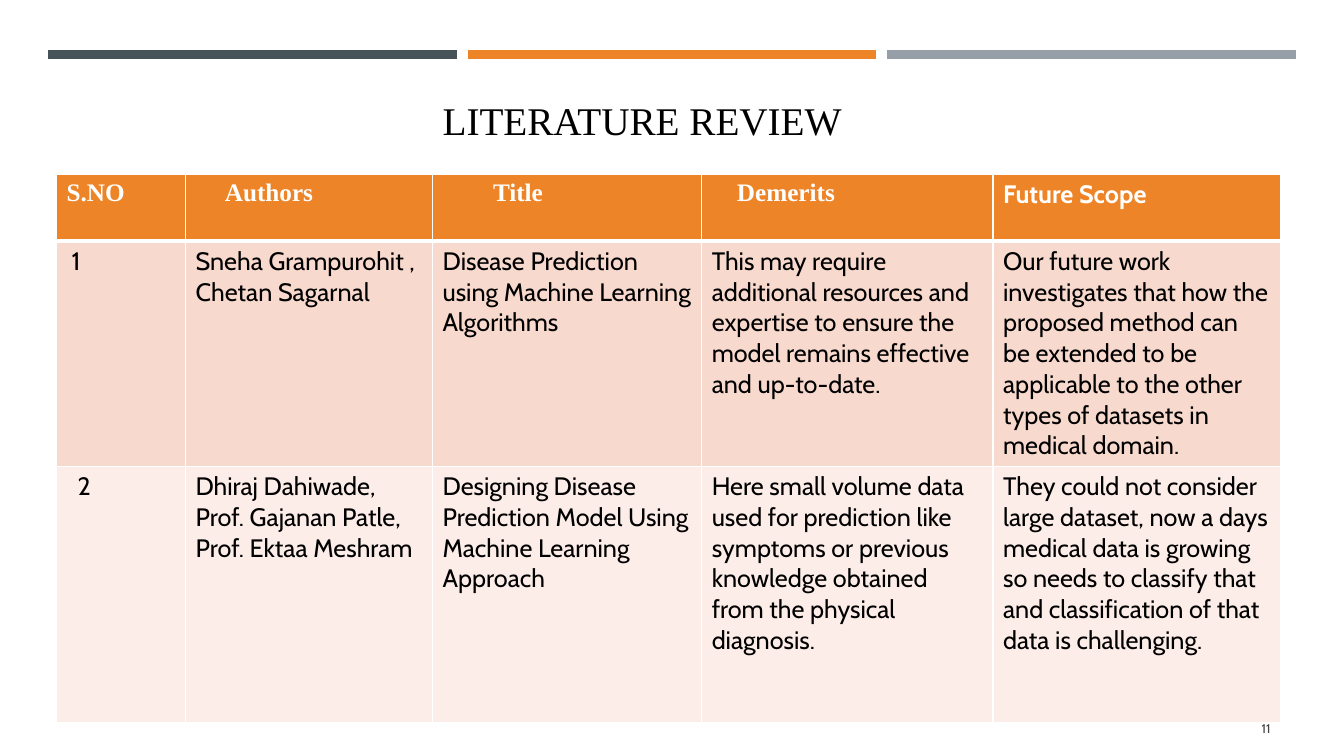
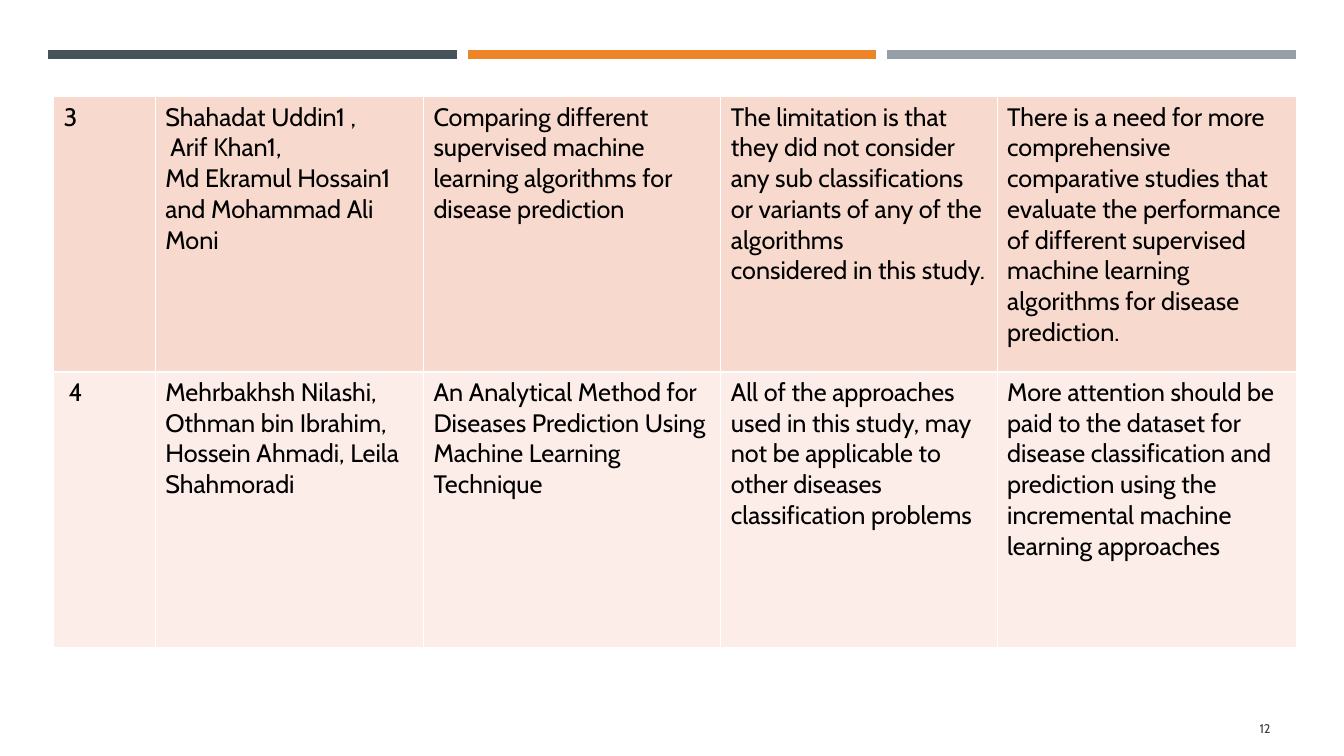
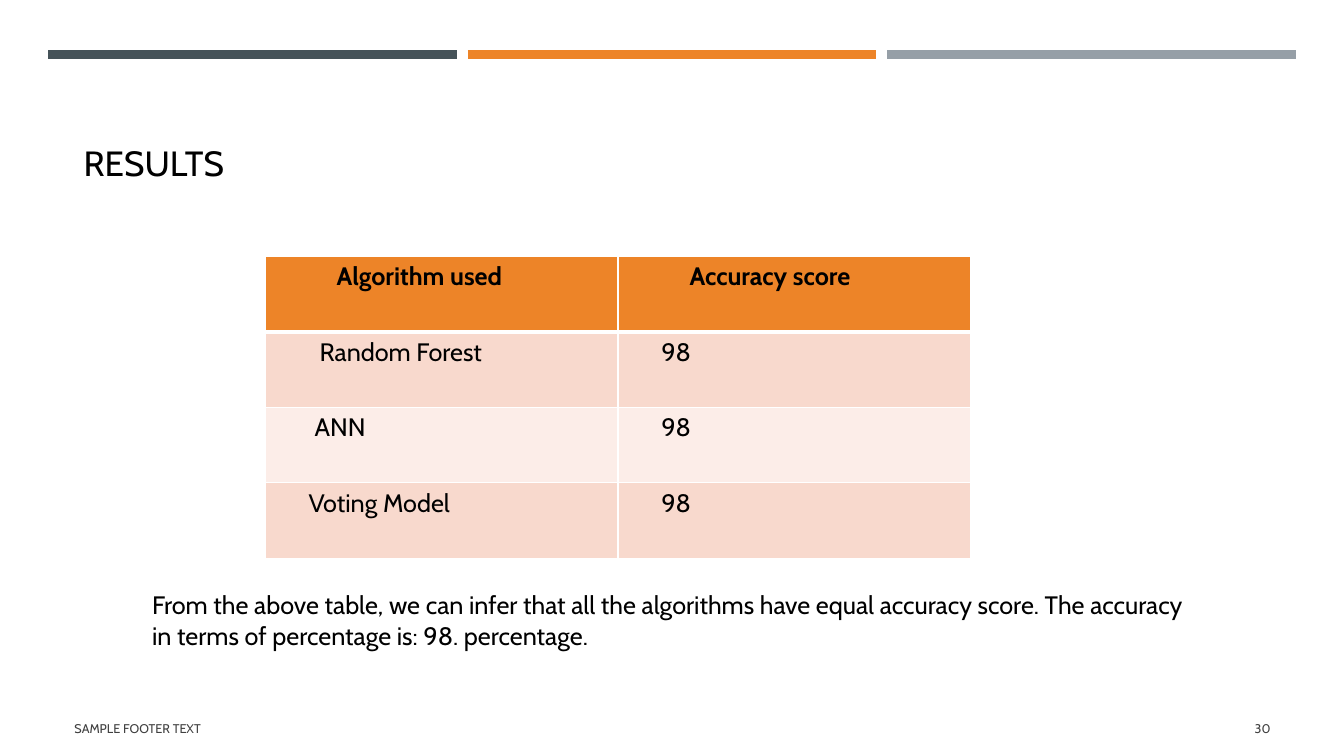
from dataclasses import dataclass

from lxml.etree import SubElement
from pptx import Presentation
from pptx.dml.color import RGBColor
from pptx.enum.shapes import MSO_CONNECTOR
from pptx.enum.text import MSO_ANCHOR, MSO_AUTO_SIZE, PP_ALIGN
from pptx.oxml.ns import qn
from pptx.util import Inches, Pt


@dataclass(frozen=True)
class Theme:
    sans: str = "Cabin"
    serif: str = "Times New Roman"
    black: str = "000000"
    white: str = "FFFFFF"
    grey: str = "404040"
    head: str = "ED8428"
    rows: tuple = ("F8D9CD", "FCEDE8")
    bands: tuple = ("465359", "ED8428", "969FA7")
    body: int = 18
    small: int = 9


THEME = Theme()


# Text
def style(para, size, face=THEME.sans, color=THEME.black, bold=False):
    font = para.font
    font.size, font.name, font.bold = Pt(size), face, bold
    font.color.rgb = RGBColor.from_string(color)


def place(shape, left, top, width, height):
    shape.left, shape.top = Inches(left), Inches(top)
    shape.width, shape.height = Inches(width), Inches(height)


def label(slide, text, box, size=THEME.body, color=THEME.black,
          align=PP_ALIGN.LEFT, anchor=MSO_ANCHOR.TOP):
    frame = slide.shapes.add_textbox(*map(Inches, box)).text_frame
    frame.word_wrap, frame.vertical_anchor = True, anchor
    frame.text = text
    para = frame.paragraphs[0]
    para.alignment = align
    style(para, size, color=color)


def title(slide, text, box, size, face):
    shape = slide.shapes.title
    place(shape, *box)
    frame = shape.text_frame
    frame.text = text
    frame.auto_size = MSO_AUTO_SIZE.NONE
    frame.vertical_anchor = MSO_ANCHOR.TOP
    para = frame.paragraphs[0]
    para.alignment = PP_ALIGN.LEFT
    style(para, size, face)


# Shared parts
def bands(deck, slide):
    """Draw the three top bands and move them to the slide master."""
    width, gap, left, top = 4.05, 0.11, 0.48, 0.54
    for i, color in enumerate(THEME.bands):
        start = left + i * (width + gap)
        line = slide.shapes.add_connector(
            MSO_CONNECTOR.STRAIGHT, Inches(start), Inches(top),
            Inches(start + width), Inches(top))
        line.line.color.rgb = RGBColor.from_string(color)
        line.line.width = Pt(6.5)
        SubElement(line.element.spPr, qn("a:effectLst"))
        deck.slide_master.shapes.element.append(line.element)


def footer(slide, number, text=None):
    if text:
        label(slide, text, (0.64, 7.03, 7.56, 0.4), THEME.small, THEME.grey,
              anchor=MSO_ANCHOR.MIDDLE)
    label(slide, number, (11.55, 7.03, 1.15, 0.4), THEME.small, THEME.grey,
          PP_ALIGN.RIGHT, MSO_ANCHOR.MIDDLE)


# Tables
def edges(cell, top=1, bottom=1):
    props = cell._tc.get_or_add_tcPr()
    for side, width in (("L", 1), ("R", 1), ("T", top), ("B", bottom)):
        line = SubElement(props, qn(f"a:ln{side}"), w=str(Pt(width)))
        fill = SubElement(line, qn("a:solidFill"))
        SubElement(fill, qn("a:srgbClr"), val=THEME.white)


def write(cell, content, face, color, bold):
    """Fill a cell: content is one line or a list; a pair adds an indent."""
    lines = content if isinstance(content, list) else [content]
    frame = cell.text_frame
    for i, line in enumerate(lines):
        text, indent = line if isinstance(line, tuple) else (line, 0)
        para = frame.add_paragraph() if i else frame.paragraphs[0]
        para.text = text
        if indent:
            para._p.get_or_add_pPr().set("marL", str(Inches(indent)))
        style(para, THEME.body, face, color, bold)


def grid(slide, left, top, cols, heights, cells, faces=None,
         ink=THEME.black):
    """Add a table; faces names the fonts of a header row, if it has one."""
    frame = slide.shapes.add_table(
        len(heights), len(cols), Inches(left), Inches(top),
        Inches(sum(cols)), Inches(sum(heights)))
    table = frame.table
    table.first_row = bool(faces)
    for col, width in zip(table.columns, cols):
        col.width = Inches(width)
    for row, height in zip(table.rows, heights):
        row.height = Inches(height)
    first = 1 if faces else 0
    for r, items in enumerate(cells):
        head = r < first
        for c, item in enumerate(items):
            cell = table.cell(r, c)
            edges(cell, top=3 if first and r == 1 else 1,
                  bottom=3 if head else 1)
            cell.fill.solid()
            tint = THEME.head if head else THEME.rows[(r - first) % 2]
            cell.fill.fore_color.rgb = RGBColor.from_string(tint)
            write(cell, item, faces[c] if head else THEME.sans,
                  ink if head else THEME.black, head)


# Slides
def review(slide):
    title(slide, "LITERATURE REVIEW", (4.29, 0.91, 7.54, 0.57), 28,
          THEME.serif)
    cells = [
        ["S.NO", ("Authors", 0.29), ("Title", 0.5), ("Demerits", 0.25),
         "Future Scope"],
        [("1", 0.05),
         "Sneha Grampurohit , Chetan Sagarnal",
         "Disease Prediction using Machine Learning Algorithms",
         "This may require additional resources and expertise to ensure "
         "the model remains effective and up-to-date.",
         "Our future work investigates that how the proposed method can be "
         "extended to be applicable to the other types of datasets in "
         "medical domain."],
        [("2", 0.11),
         ["Dhiraj Dahiwade,", "Prof. Gajanan Patle,",
          "Prof. Ektaa Meshram"],
         "Designing Disease Prediction Model Using Machine Learning "
         "Approach",
         "Here small volume data used for prediction like symptoms or "
         "previous knowledge obtained from the physical diagnosis.",
         "They could not consider large dataset, now a days medical data "
         "is growing so needs to classify that and classification of that "
         "data is challenging."],
    ]
    grid(slide, 0.56, 1.73, (1.28, 2.45, 2.67, 2.89, 2.85),
         (0.66, 2.23, 2.54), cells, [THEME.serif] * 4 + [THEME.sans],
         THEME.white)
    footer(slide, "11")


def more(slide):
    cells = [
        ["3",
         ["Shahadat Uddin1 ,", ("Arif Khan1,", 0.05),
          "Md Ekramul Hossain1 and Mohammad Ali Moni"],
         "Comparing different supervised machine learning algorithms for "
         "disease prediction",
         ["The limitation is that they did not consider any sub "
          "classifications or variants of any of the algorithms",
          "considered in this study."],
         "There is a need for more comprehensive comparative studies that "
         "evaluate the performance of different supervised machine "
         "learning algorithms for disease prediction."],
        [("4", 0.05),
         "Mehrbakhsh Nilashi, Othman bin Ibrahim, Hossein Ahmadi, Leila "
         "Shahmoradi",
         "An Analytical Method for Diseases Prediction Using Machine "
         "Learning Technique",
         "All of the approaches used in this study, may not be applicable "
         "to other diseases classification problems",
         "More attention should be paid to the dataset for disease "
         "classification and prediction using the incremental machine "
         "learning approaches"],
    ]
    grid(slide, 0.53, 0.96, (1.01, 2.66, 2.95, 2.74, 2.97), [2.73] * 2,
         cells)
    footer(slide, "12")


def results(slide):
    title(slide, "RESULTS", (0.73, 1.35, 11.48, 0.94), 25, THEME.sans)
    score = ("98", 0.33)
    cells = [
        [("Algorithm used", 0.61), ("Accuracy score", 0.61)],
        [("Random Forest", 0.44), score],
        [("ANN", 0.39), score],
        [("Voting Model", 0.33), score],
    ]
    grid(slide, 2.63, 2.54, [3.5] * 2, [0.75] * 4, cells,
         [THEME.sans] * 2)
    label(slide, "From the above table, we can infer that all the "
          "algorithms have equal accuracy score. The accuracy in terms of "
          "percentage is: 98. percentage.", (1.41, 5.8, 10.66, 0.71))
    footer(slide, "30", "SAMPLE FOOTER TEXT")


def main():
    deck = Presentation()
    deck.slide_width, deck.slide_height = Inches(13.33), Inches(7.5)
    titled, blank = deck.slide_layouts[5], deck.slide_layouts[6]
    pages = ((review, titled), (more, blank), (results, titled))
    for build, layout in pages:
        build(deck.slides.add_slide(layout))
    bands(deck, deck.slides[0])
    deck.save("out.pptx")


if __name__ == "__main__":
    main()
